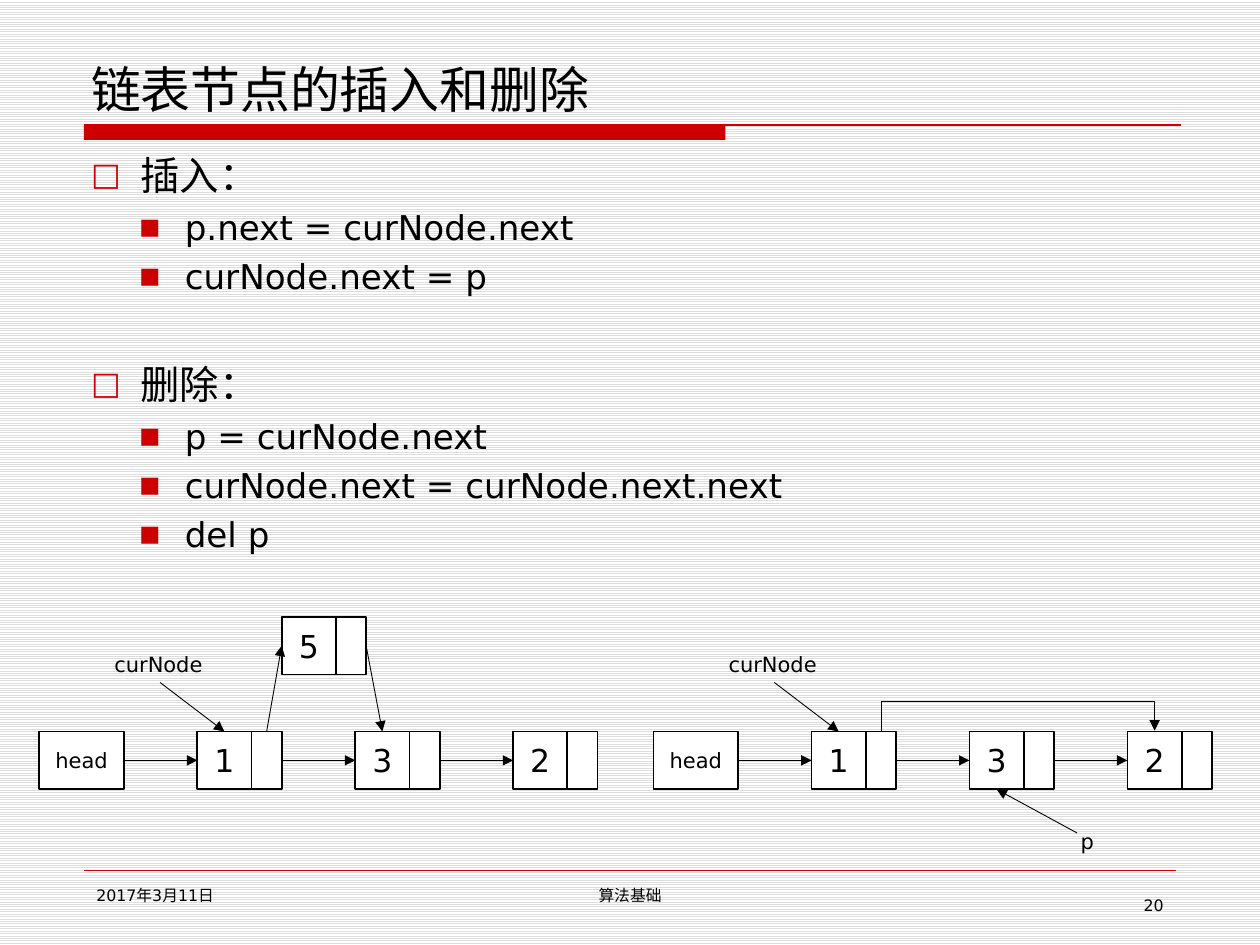
from dataclasses import dataclass

from lxml.etree import SubElement
from pptx import Presentation
from pptx.dml.color import RGBColor
from pptx.enum.dml import MSO_PATTERN as Pattern
from pptx.enum.shapes import MSO_CONNECTOR as Link, MSO_SHAPE as Shape
from pptx.enum.text import MSO_ANCHOR as Anchor, PP_ALIGN as Align
from pptx.oxml.ns import qn
from pptx.util import Pt


@dataclass(frozen=True)
class Theme:
    font: str = "DejaVu Sans"
    ink: RGBColor = RGBColor(0, 0, 0)
    paper: RGBColor = RGBColor(255, 255, 255)
    stripe: RGBColor = RGBColor(0xDD, 0xDD, 0xDD)
    accent: RGBColor = RGBColor(0xCC, 0, 0)
    title: float = 28.5
    heading: float = 22.5
    code: float = 19.5
    value: float = 18
    label: float = 12
    footer: float = 9


THEME = Theme()

TITLE = "链表节点的插入和删除"
SECTIONS = [
    ("插入：", ["p.next = curNode.next", "curNode.next = p"]),
    ("删除：", ["p = curNode.next", "curNode.next = curNode.next.next", "del p"]),
]
FOOTERS = [
    ("2017年3月11日", (48, 502.5, 156, 27), Align.LEFT),
    ("算法基础", (246, 502.5, 228, 27), Align.CENTER),
    ("20", (516, 508.5, 156, 21), Align.RIGHT),
]
VALUES = ["1", "3", "2"]
NEW_VALUE = "5"

INSERT_LEFT, DELETE_LEFT = 22.5, 373.5
ROW_TOP, NODE_HEIGHT = 418, 33
VALUE_WIDTH, NEXT_WIDTH = 31, 17.25
NODE_WIDTH = VALUE_WIDTH + NEXT_WIDTH
FIRST_OFFSET, PITCH = 90.25, 90.25
ROW_MIDDLE = ROW_TOP + NODE_HEIGHT / 2
ROW_BOTTOM = ROW_TOP + NODE_HEIGHT

BULLETS = {
    "heading": dict(mark="□", scale=80, margin=28, hang=28, size=THEME.heading),
    "code": dict(mark="■", scale=65, margin=53.5, hang=26, size=THEME.code),
}


def style(para, size, align=Align.LEFT):
    para.alignment = align
    para.font.size = Pt(size)
    para.font.name = THEME.font
    para.font.color.rgb = THEME.ink


def add_text(page, text, box, size, align=Align.LEFT, anchor=Anchor.TOP):
    frame = page.shapes.add_textbox(*map(Pt, box)).text_frame
    frame.word_wrap = True
    frame.vertical_anchor = anchor
    frame.text = text
    style(frame.paragraphs[0], size, align)


def add_rect(page, box, fill, text="", size=THEME.value):
    shape = page.shapes.add_shape(Shape.RECTANGLE, *map(Pt, box))
    shape.shadow.inherit = False
    shape.fill.solid()
    shape.fill.fore_color.rgb = fill
    shape.line.color.rgb = THEME.ink
    shape.line.width = Pt(1)
    if text:
        frame = shape.text_frame
        frame.vertical_anchor = Anchor.MIDDLE
        frame.text = text
        style(frame.paragraphs[0], size, Align.CENTER)
    return shape


def add_line(page, start, end, color, width, kind=Link.STRAIGHT):
    line = page.shapes.add_connector(kind, *map(Pt, (*start, *end)))
    line.line.color.rgb = color
    line.line.width = Pt(width)
    SubElement(line._element.spPr, qn("a:effectLst"))
    return line


def add_arrow(page, start, end, kind=Link.STRAIGHT):
    arrow = add_line(page, start, end, THEME.ink, 0.5, kind)
    SubElement(arrow.line._get_or_add_ln(), qn("a:tailEnd"), type="triangle")
    return arrow


def add_bridge(page, start_x, end_x, y, rise):
    middle, reach, thickness = (start_x + end_x) / 2, (end_x - start_x) / 2, 1
    start = (middle + thickness / 2, y + reach)
    end = (middle - thickness / 2, y - reach)
    bridge = add_arrow(page, start, end, Link.ELBOW)
    properties = bridge._element.spPr
    properties.find(qn("a:xfrm")).set("rot", str(90 * 60000))
    geometry = properties.find(qn("a:prstGeom"))
    adjust = geometry.find(qn("a:avLst"))
    if adjust is None:
        adjust = SubElement(geometry, qn("a:avLst"))
    ratio = round(rise / thickness * 100000)
    SubElement(adjust, qn("a:gd"), name="adj1", fmla=f"val {ratio}")


def add_node(page, left, top, value):
    add_rect(page, (left, top, VALUE_WIDTH, NODE_HEIGHT), THEME.paper, value)
    add_rect(page, (left + VALUE_WIDTH, top, NEXT_WIDTH, NODE_HEIGHT), THEME.paper)


def add_list(page, left):
    add_rect(page, (left, ROW_TOP, NODE_WIDTH, NODE_HEIGHT), THEME.paper, "head", THEME.label)
    nodes = [left + FIRST_OFFSET + PITCH * i for i in range(len(VALUES))]
    for node, value in zip(nodes, VALUES):
        add_node(page, node, ROW_TOP, value)
    for source, target in zip([left, *nodes], nodes):
        add_arrow(page, (source + NODE_WIDTH, ROW_MIDDLE), (target, ROW_MIDDLE))
    add_text(page, "curNode", (left + 35.75, 369, 68, 22), THEME.label)
    add_arrow(page, (left + 69, 390), (nodes[0] + VALUE_WIDTH / 2, ROW_TOP))
    return nodes


def add_bullet(para, mark, scale, margin, hang):
    properties = para._p.get_or_add_pPr()
    properties.set("marL", str(Pt(margin)))
    properties.set("indent", str(-Pt(hang)))
    color = SubElement(properties, qn("a:buClr"))
    SubElement(color, qn("a:srgbClr"), val=str(THEME.accent))
    SubElement(properties, qn("a:buSzPct"), val=str(scale * 1000))
    SubElement(properties, qn("a:buFont"), typeface=THEME.font)
    SubElement(properties, qn("a:buChar"), char=mark)


def add_body(page):
    frame = page.shapes.add_textbox(Pt(45), Pt(83), Pt(630), Pt(249)).text_frame
    frame.word_wrap = True
    rows = []
    for heading, codes in SECTIONS:
        rows.append((heading, "heading", 36.5))
        rows += [(code, "code", 4.5) for code in codes]
    for index, (text, kind, gap) in enumerate(rows):
        para = frame.add_paragraph() if index else frame.paragraphs[0]
        para.text = text
        bullet = dict(BULLETS[kind])
        size = bullet.pop("size")
        para.level = int(kind == "code")
        add_bullet(para, **bullet)
        style(para, size)
        if index:
            para.space_before = Pt(gap)


def add_insertion(page):
    first, second, _ = add_list(page, INSERT_LEFT)
    left, top = first + NODE_WIDTH, 352.5
    middle = top + NODE_HEIGHT / 2
    add_node(page, left, top, NEW_VALUE)
    add_arrow(page, (left + NODE_WIDTH, middle), (second + VALUE_WIDTH / 2, ROW_TOP))
    add_arrow(page, (first + VALUE_WIDTH + NEXT_WIDTH / 2, ROW_TOP), (left, middle))


def add_deletion(page):
    first, second, third = add_list(page, DELETE_LEFT)
    start_x = first + VALUE_WIDTH + NEXT_WIDTH / 2
    add_bridge(page, start_x, third + VALUE_WIDTH / 2, ROW_TOP, 18)
    add_text(page, "p", (610.5, 470, 28, 22), THEME.label)
    add_arrow(page, (615.5, 476), (second + VALUE_WIDTH / 2, ROW_BOTTOM))


def main():
    deck = Presentation()
    deck.slide_width, deck.slide_height = Pt(720), Pt(540)
    page = deck.slides.add_slide(deck.slide_layouts[6])
    backdrop = page.background.fill
    backdrop.patterned()
    backdrop.pattern = Pattern.LIGHT_HORIZONTAL
    backdrop.fore_color.rgb = THEME.stripe
    backdrop.back_color.rgb = THEME.paper

    bar = add_rect(page, (48, 71.5, 366.5, 8.5), THEME.accent)
    bar.line.fill.background()
    add_line(page, (48, 71.5), (675, 71.5), THEME.accent, 0.75)
    add_line(page, (48, 497), (672, 497), THEME.accent, 0.25)
    add_text(page, TITLE, (45, 24, 630, 47.5), THEME.title, anchor=Anchor.BOTTOM)
    add_body(page)
    for text, box, align in FOOTERS:
        add_text(page, text, box, THEME.footer, align)
    add_insertion(page)
    add_deletion(page)
    deck.save("out.pptx")


if __name__ == "__main__":
    main()
